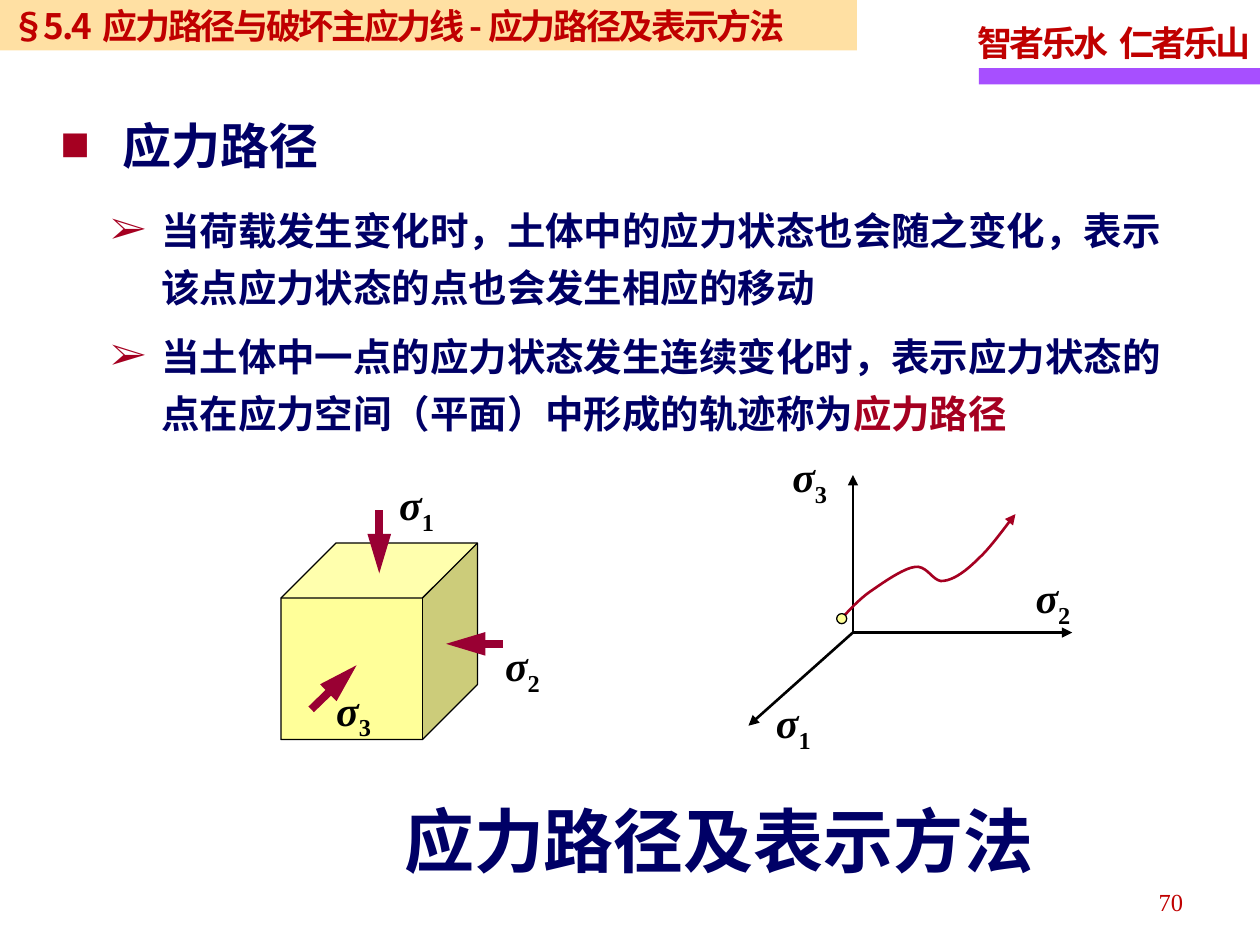
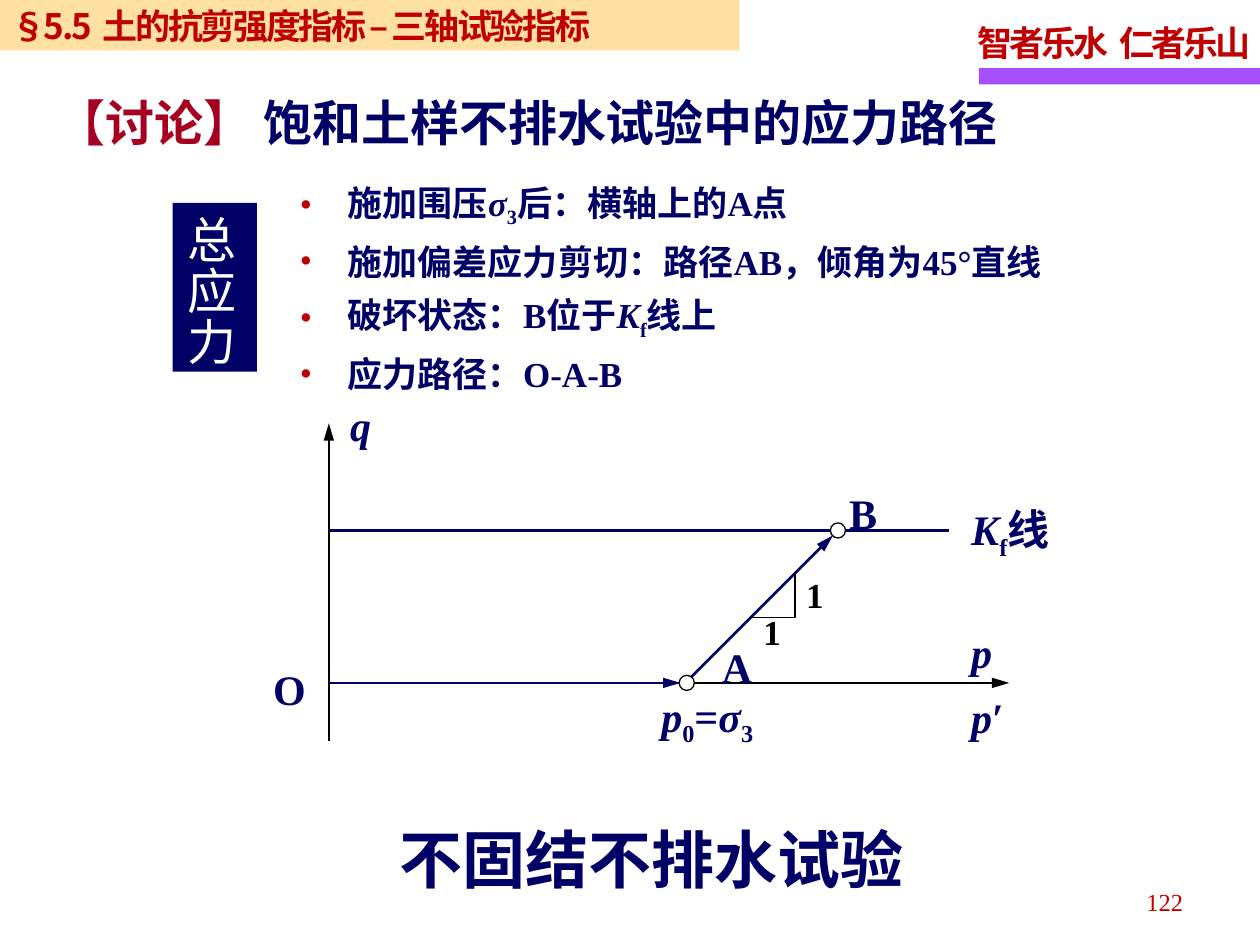
from dataclasses import dataclass

from lxml import etree
from pptx import Presentation
from pptx.dml.color import RGBColor
from pptx.enum.shapes import MSO_CONNECTOR, MSO_SHAPE
from pptx.enum.text import MSO_ANCHOR, MSO_AUTO_SIZE, PP_ALIGN
from pptx.oxml.ns import qn
from pptx.util import Inches, Pt

RECTANGLE, OVAL, CUBE = MSO_SHAPE.RECTANGLE, MSO_SHAPE.OVAL, MSO_SHAPE.CUBE
STRAIGHT = MSO_CONNECTOR.STRAIGHT
LEFT, CENTER, RIGHT = PP_ALIGN.LEFT, PP_ALIGN.CENTER, PP_ALIGN.RIGHT
TOP, MIDDLE = MSO_ANCHOR.TOP, MSO_ANCHOR.MIDDLE
NO_AUTOFIT = MSO_AUTO_SIZE.NONE
SANS, SERIF = "Noto Sans CJK SC", "Times New Roman"
COLORS = {
    "navy": "000066", "crimson": "A50021", "red": "C00000", "purple": "A74FFF",
    "band": "FFCC66", "yellow": "FFFF99", "arrow": "990033", "black": "000000",
    "white": "FFFFFF",
}


@dataclass(frozen=True)
class Run:
    """A stretch of text that may differ from its paragraph."""
    text: str
    italic: bool = False
    subscript: bool = False
    color: str = ""
    spacing: float | None = None


@dataclass(frozen=True)
class Bullet:
    """A bullet character with its colour and hanging indent."""
    character: str
    color: str
    indent: float


@dataclass(frozen=True)
class Label:
    """A short text beside a diagram, with its box."""
    runs: tuple
    box: tuple
    size: float = 24
    color: str = "navy"
    line: float = 1.0


def rgb(name):
    """Return a named colour."""
    return RGBColor.from_string(COLORS[name])


def inches(values):
    """Turn plain numbers into lengths."""
    return [Inches(value) for value in values]


def symbol(letter, index):
    """Return an italic letter with an upright subscript."""
    return Run(letter, italic=True), Run(index, subscript=True)


def add_bullet(paragraph, bullet):
    """Give a paragraph a hanging bullet."""
    properties = paragraph._p.get_or_add_pPr()
    indent = Inches(bullet.indent)
    properties.set("marL", str(indent))
    properties.set("indent", str(-indent))
    color = etree.SubElement(properties, qn("a:buClr"))
    etree.SubElement(color, qn("a:srgbClr"), val=COLORS[bullet.color])
    etree.SubElement(properties, qn("a:buFont"), typeface=SERIF)
    etree.SubElement(properties, qn("a:buChar"), char=bullet.character)


def write(shape, paragraphs, *, size, color="navy", font=SERIF, bold=True, align=LEFT,
          anchor=TOP, wrap=True, inset=None, line=1.0, gap=0, spacing=0, bullet=None):
    """Fill a shape with formatted paragraphs, each a sequence of runs."""
    frame = shape.text_frame
    frame.word_wrap, frame.auto_size, frame.vertical_anchor = wrap, NO_AUTOFIT, anchor
    if inset is not None:
        frame.margin_left = frame.margin_right = Inches(inset)
        frame.margin_top = frame.margin_bottom = Inches(inset)
    for index, runs in enumerate(paragraphs):
        paragraph = frame.add_paragraph() if index else frame.paragraphs[0]
        if bullet:
            add_bullet(paragraph, bullet)
        paragraph.alignment, paragraph.line_spacing = align, line
        paragraph.space_before, paragraph.space_after = Pt(gap if index else 0), Pt(gap)
        for part in runs:
            run = paragraph.add_run()
            run.text = part.text
            run.font.size, run.font.bold, run.font.italic = Pt(size), bold, part.italic
            run.font.name = font
            run.font.color.rgb = rgb(part.color or color)
            properties = run._r.get_or_add_rPr()
            etree.SubElement(properties, qn("a:ea"), typeface=SANS)
            tracking = spacing if part.spacing is None else part.spacing
            if tracking:
                properties.set("spc", str(round(tracking * 100)))
            if part.subscript:
                properties.set("baseline", "-25000")


def add_text(slide, box, paragraphs, **text_format):
    """Add a text box."""
    shape = slide.shapes.add_textbox(*inches(box))
    write(shape, paragraphs, **text_format)
    return shape


def fill_placeholder(shape, box, paragraphs, **text_format):
    """Move a placeholder and write into it."""
    shape.left, shape.top, shape.width, shape.height = inches(box)
    write(shape, paragraphs, **text_format)


def add_box(slide, kind, box, fill, outline=""):
    """Add a filled preset shape, outlined on request."""
    shape = slide.shapes.add_shape(kind, *inches(box))
    shape.shadow.inherit = False
    shape.fill.solid()
    shape.fill.fore_color.rgb = rgb(fill)
    if outline:
        shape.line.color.rgb, shape.line.width = rgb(outline), Pt(0.75)
    else:
        shape.line.fill.background()
    return shape


def add_dot(slide, center, diameter, fill):
    """Add an outlined circle around a point."""
    left, top = (value - diameter / 2 for value in center)
    add_box(slide, OVAL, (left, top, diameter, diameter), fill, "black")


def style_line(shape, color, width, ends, length):
    """Set the colour, width and arrowheads of a line."""
    shape.line.color.rgb, shape.line.width = rgb(color), Pt(width)
    line = shape.line._get_or_add_ln()
    for end in ends:
        etree.SubElement(line, qn(f"a:{end}"), type="triangle", w="med", len=length)


def add_line(slide, start, end, color="black", width=1.5, arrow=True, length="lg"):
    """Add a straight line, normally with an arrowhead at its end."""
    connector = slide.shapes.add_connector(STRAIGHT, *inches((*start, *end)))
    style_line(connector, color, width, ("tailEnd",) if arrow else (), length)
    etree.SubElement(connector._element.spPr, qn("a:effectLst"))


def add_path(slide, points, color="black", width=1.5, ends=()):
    """Add an open outline through the points."""
    builder = slide.shapes.build_freeform(*inches(points[0]))
    builder.add_line_segments([inches(point) for point in points[1:]], close=False)
    shape = builder.convert_to_shape()
    shape.shadow.inherit = False
    shape.fill.background()
    style_line(shape, color, width, ends, "med")


def curve_points(controls, steps=10):
    """Return points along joined cubic curves."""
    points = [controls[0]]
    for first in range(0, len(controls) - 1, 3):
        a, b, c, d = controls[first:first + 4]
        for step in range(1, steps + 1):
            t = step / steps
            u = 1 - t
            points.append(tuple(
                u**3 * a[axis] + 3 * u * u * t * b[axis]
                + 3 * u * t * t * c[axis] + t**3 * d[axis] for axis in (0, 1)))
    return points


def add_labels(slide, labels):
    """Add the labels of a diagram."""
    for label in labels:
        add_text(slide, label.box, [label.runs], size=label.size, color=label.color,
                 line=label.line, wrap=False)


def start_slide(presentation, section, heading, band_width, number):
    """Add a slide with its heading band, motto and page number."""
    slide = presentation.slides.add_slide(presentation.slide_layouts[1])
    add_box(slide, RECTANGLE, (7.77, 0.54, 2.23, 0.13), "purple")
    motto = Run("智者乐水"), Run(" ", spacing=1.6), Run("仁者乐山")
    add_text(slide, (7.66, 0.07, 2.36, 0.49), [motto], size=20, color="red",
             wrap=False, line=1.15, spacing=-1.7)
    title = slide.shapes.title
    fill_placeholder(title, (-0.01, 0, band_width, 0.4),
                     [(Run(section), Run(" ", spacing=1.7), Run(heading))],
                     size=20, color="red", font=SANS, anchor=MIDDLE, spacing=-1.4)
    title.fill.solid()
    title.fill.fore_color.rgb = rgb("band")
    color = title._element.spPr.find(f".//{qn('a:srgbClr')}")
    etree.SubElement(color, qn("a:alpha"), val="60000")
    add_text(slide, (7.16, 6.96, 2.33, 0.4), [(Run(number),)], size=14, color="red",
             bold=False, align=RIGHT, line=1.15)
    return slide


def draw_stress_space(slide):
    """Draw the three stress axes and the path between them."""
    origin = (6.77, 5.02)
    add_path(slide, [(6.77, 3.77), origin, (8.51, 5.02)], ends=("headEnd", "tailEnd"))
    add_line(slide, origin, (5.94, 5.76), length="med")
    path = [(6.66, 4.93), (6.7, 4.89), (6.8, 4.77), (6.9, 4.7), (7, 4.63), (7.17, 4.51),
            (7.26, 4.5), (7.36, 4.48), (7.41, 4.63), (7.49, 4.61), (7.58, 4.6),
            (7.68, 4.52), (7.77, 4.43), (7.87, 4.34), (8, 4.15), (8.06, 4.08)]
    add_path(slide, curve_points(path), "crimson", ends=("tailEnd",))
    add_dot(slide, (6.68, 4.91), 0.08, "yellow")


def draw_stress_cube(slide):
    """Draw the soil cube with an arrow for each principal stress."""
    cube = add_box(slide, CUBE, (2.23, 4.31, 1.56, 1.56), "yellow", "black")
    cube.adjustments[0] = 0.28
    for start, end in (((3.01, 4.05), (3.01, 4.55)), ((3.99, 5.11), (3.54, 5.11)),
                       ((2.47, 5.63), (2.83, 5.28))):
        add_line(slide, start, end, "arrow", 4.5)


def build_path_slide(presentation):
    """Build the slide that defines the stress path."""
    slide = start_slide(presentation, "§5.4", "应力路径与破坏主应力线 - 应力路径及表示方法",
                        6.81, "70")
    add_text(slide, (0.48, 0.82, 2.51, 0.49), [(Run("应力路径"),)], size=28, font=SANS,
             inset=0, line=1.2, bullet=Bullet("■", "crimson", 0.49))
    fill_placeholder(slide.placeholders[1], (0.88, 1.55, 8.41, 1.94), [
        (Run("当荷载发生变化时，土体中的应力状态也会随之变化，表示该点应力状态的点也会发生相应的移动"),),
        (Run("当土体中一点的应力状态发生连续变化时，表示应力状态的点在应力空间（平面）中形成的轨迹称为"),
         Run("应力路径", color="crimson")),
    ], size=22, font=SANS, inset=0, line=1.25, gap=3, bullet=Bullet("➢", "crimson", 0.4))
    draw_stress_space(slide)
    draw_stress_cube(slide)
    corners = (("1", 6.06, 5.48), ("2", 8.12, 4.49), ("3", 6.19, 3.53),
               ("1", 3.07, 3.75), ("2", 3.91, 5.03), ("3", 2.57, 5.38))
    add_labels(slide, [Label(symbol("σ", index), (left, top, 0.51, 0.5), color="black")
                       for index, left, top in corners])
    add_text(slide, (2.79, 6.28, 5.83, 0.77), [(Run("应力路径及表示方法"),)], size=40,
             align=CENTER)


def draw_undrained_path(slide):
    """Draw the p-q axes, the failure line and the path O-A-B."""
    point_a, point_b = (5.45, 5.42), (6.65, 4.21)
    add_line(slide, (2.62, 4.21), (7.53, 4.21), "navy", arrow=False)
    add_line(slide, (2.61, 5.88), (2.61, 3.36))
    add_line(slide, (2.6, 5.42), (8.01, 5.42))
    add_line(slide, (2.62, 5.42), (5.4, 5.42), "navy")
    add_line(slide, (5.44, 5.42), (6.61, 4.25), "navy")
    add_path(slide, [(5.96, 4.9), (6.31, 4.9), (6.31, 4.55)], width=0.75)
    for point in (point_a, point_b):
        add_dot(slide, point, 0.12, "white")
    add_labels(slide, [
        Label((*symbol("K", "f"), Run("线")), (7.61, 3.88, 0.92, 0.57), line=1.15),
        Label((Run("1"),), (6.3, 4.5, 0.34, 0.43), 20, "black"),
        Label((Run("1"),), (5.96, 4.8, 0.34, 0.43), 20, "black"),
        Label((Run("B"),), (6.64, 3.76, 0.43, 0.57), line=1.15),
        Label((Run("A"),), (5.63, 4.98, 0.45, 0.57), line=1.15),
        Label((Run("O"),), (2.07, 5.16, 0.46, 0.57), line=1.15),
        Label((Run("q", italic=True),), (2.68, 3.06, 0.38, 0.55), line=1.15),
        Label((*symbol("p", "0"), Run("="), *symbol("σ", "3")),
              (5.15, 5.36, 0.99, 0.57), line=1.15),
    ])
    letter = Run("p", italic=True)
    add_text(slide, (7.61, 4.8, 0.6, 1.08), [(letter,), (letter, Run("′"))], size=24,
             line=1.3)


def build_undrained_slide(presentation):
    """Build the slide on the undrained test of saturated soil."""
    slide = start_slide(presentation, "§5.5", "土的抗剪强度指标 – 三轴试验指标", 5.88, "122")
    add_text(slide, (0.45, 0.73, 7.67, 0.47),
             [(Run("【讨论】 ", color="crimson"), Run("饱和土样不排水试验中的应力路径"))],
             size=28, font=SANS, anchor=MIDDLE, inset=0)
    fill_placeholder(slide.placeholders[1], (2.28, 1.35, 7.03, 1.75), [
        (Run("施加围压"), *symbol("σ", "3"), Run("后：横轴上的A点")),
        (Run("施加偏差应力剪切：路径AB，倾角为45°直线"),),
        (Run("破坏状态：B位于"), *symbol("K", "f"), Run("线上")),
        (Run("应力路径：O-A-B"),),
    ], size=20, line=1.1, gap=2, bullet=Bullet("•", "red", 0.38))
    tag = add_box(slide, RECTANGLE, (1.37, 1.61, 0.67, 1.34), "navy")
    write(tag, [(Run("总应力"),)], size=28, color="white", font=SANS, bold=False,
          anchor=MIDDLE, wrap=False, line=1.15, spacing=1.4)
    tag.text_frame._txBody.bodyPr.set("vert", "eaVert")
    draw_undrained_path(slide)
    add_text(slide, (3.17, 6.51, 4.92, 0.6), [(Run("不固结不排水试验"),)], size=36,
             font=SANS, anchor=MIDDLE, inset=0)


def main():
    """Build and save the presentation."""
    presentation = Presentation()
    presentation.slide_width, presentation.slide_height = Inches(10), Inches(7.5)
    build_path_slide(presentation)
    build_undrained_slide(presentation)
    presentation.save("out.pptx")


if __name__ == "__main__":
    main()
